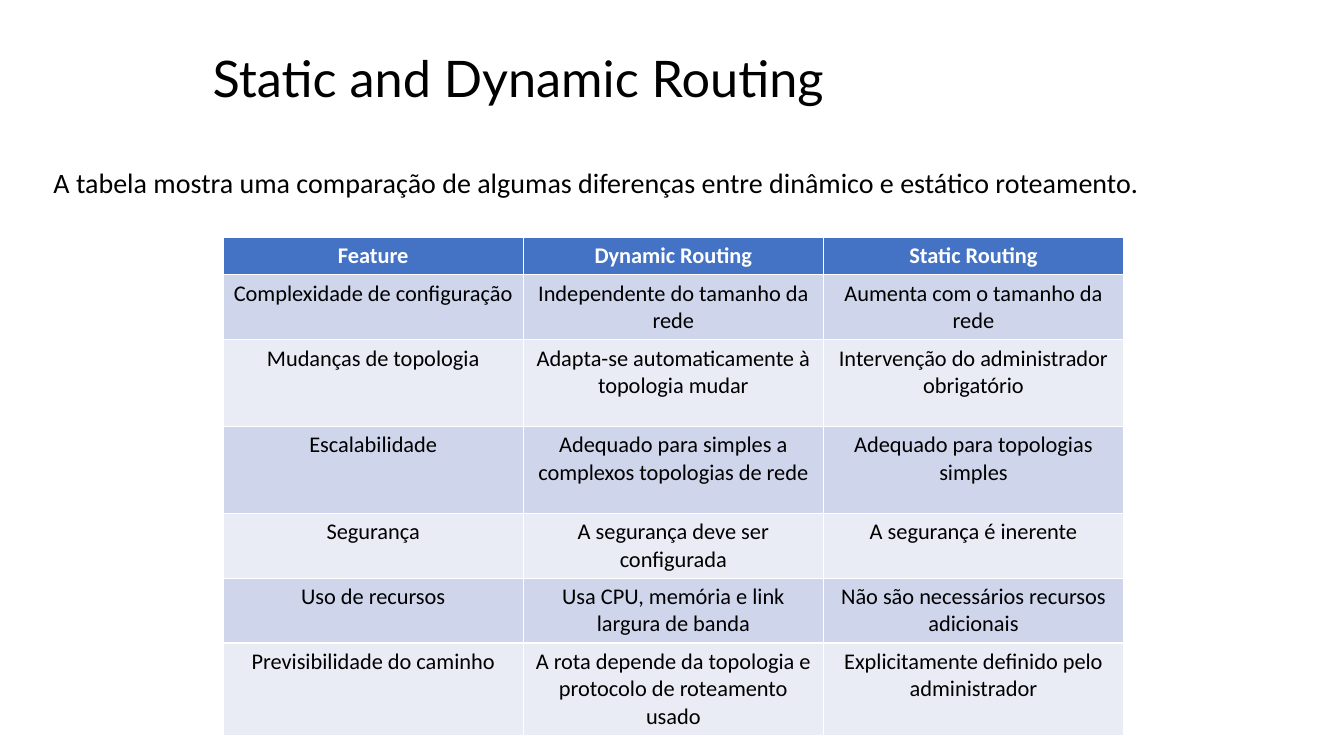
from lxml import etree
from pptx import Presentation
from pptx.dml.color import RGBColor
from pptx.enum.text import MSO_ANCHOR, MSO_AUTO_SIZE, PP_ALIGN
from pptx.oxml.ns import qn
from pptx.util import Pt

LEFT, CENTER = PP_ALIGN.LEFT, PP_ALIGN.CENTER
TOP, MIDDLE = MSO_ANCHOR.TOP, MSO_ANCHOR.MIDDLE
NO_AUTOFIT = MSO_AUTO_SIZE.NONE
TITLE_AND_CONTENT = 1

BLACK = RGBColor(0x00, 0x00, 0x00)
WHITE = RGBColor(0xFF, 0xFF, 0xFF)
HEADER_BLUE = RGBColor(0x44, 0x72, 0xC4)
BAND_DARK = RGBColor(0xCF, 0xD5, 0xEA)
BAND_LIGHT = RGBColor(0xE9, 0xEB, 0xF5)

COLUMN_WIDTH = 214.4
ROW_HEIGHTS = [25.2, 43.2, 62, 62, 43.2, 43.2, 62]
COMPARISON = [
    ("Feature", "Dynamic Routing", "Static Routing"),
    ("Complexidade de configuração", "Independente do tamanho da rede",
     "Aumenta com o tamanho da rede"),
    ("Mudanças de topologia", "Adapta-se automaticamente à topologia mudar",
     "Intervenção do administrador obrigatório"),
    ("Escalabilidade", "Adequado para simples a complexos topologias de rede",
     "Adequado para topologias simples"),
    ("Segurança", "A segurança deve ser configurada", "A segurança é inerente"),
    ("Uso de recursos", "Usa CPU, memória e link largura de banda",
     "Não são necessários recursos adicionais"),
    ("Previsibilidade do caminho",
     "A rota depende da topologia e protocolo de roteamento usado",
     "Explicitamente definido pelo administrador"),
]


def set_font(paragraph, name, size, color, bold=False):
    """Set the font of a whole paragraph."""
    font = paragraph.font
    font.name, font.size, font.bold = name, Pt(size), bold
    font.color.rgb = color


def fill_placeholder(shape, box, text, font_name, size, anchor):
    """Move a placeholder and give it one left-aligned paragraph."""
    shape.left, shape.top, shape.width, shape.height = map(Pt, box)
    frame = shape.text_frame
    frame.text = text
    frame.word_wrap = True
    frame.auto_size = NO_AUTOFIT
    frame.vertical_anchor = anchor
    paragraph = frame.paragraphs[0]
    paragraph.alignment = LEFT
    paragraph.line_spacing = 0.9
    set_font(paragraph, font_name, size, BLACK)
    return paragraph


def remove_bullet(paragraph):
    """Take the bullet and its hanging indent off a paragraph."""
    properties = paragraph._p.get_or_add_pPr()
    properties.set("marL", "0")
    properties.set("indent", "0")
    etree.SubElement(properties, qn("a:buNone"))


def fill_cell(cell, text, fill_color, text_color, bold):
    """Write centred text in a coloured table cell."""
    cell.text = text
    cell.fill.solid()
    cell.fill.fore_color.rgb = fill_color
    paragraph = cell.text_frame.paragraphs[0]
    paragraph.alignment = CENTER
    set_font(paragraph, "Calibri", 16, text_color, bold)


def add_comparison_table(slide):
    """Add the banded table comparing the two kinds of routing."""
    column_count = len(COMPARISON[0])
    table = slide.shapes.add_table(
        len(COMPARISON), column_count, Pt(159.4), Pt(169.5),
        Pt(COLUMN_WIDTH * column_count), Pt(sum(ROW_HEIGHTS))).table
    for column in table.columns:
        column.width = Pt(COLUMN_WIDTH)
    for index, texts in enumerate(COMPARISON):
        table.rows[index].height = Pt(ROW_HEIGHTS[index])
        is_header = index == 0
        band = BAND_DARK if index % 2 else BAND_LIGHT
        for cell, text in zip(table.rows[index].cells, texts):
            fill_cell(cell, text, HEADER_BLUE if is_header else band,
                      WHITE if is_header else BLACK, is_header)
    for column in range(2):
        table.cell(0, column).vertical_anchor = MIDDLE


def main():
    """Build the routing comparison slide and save it."""
    presentation = Presentation()
    presentation.slide_width, presentation.slide_height = Pt(960), Pt(540)
    layout = presentation.slide_layouts[TITLE_AND_CONTENT]
    slide = presentation.slides.add_slide(layout)
    fill_placeholder(slide.shapes.title, (144.7, 18.7, 786.2, 78.6),
                     "Static and Dynamic Routing", "Lato", 36, MIDDLE)
    introduction = fill_placeholder(
        slide.placeholders[1], (31, 117.4, 900, 417.6),
        "A tabela mostra uma comparação de algumas diferenças entre "
        "dinâmico e estático roteamento.", "Calibri", 20, TOP)
    introduction.space_before = Pt(10)
    remove_bullet(introduction)
    add_comparison_table(slide)
    presentation.save("out.pptx")


if __name__ == "__main__":
    main()
